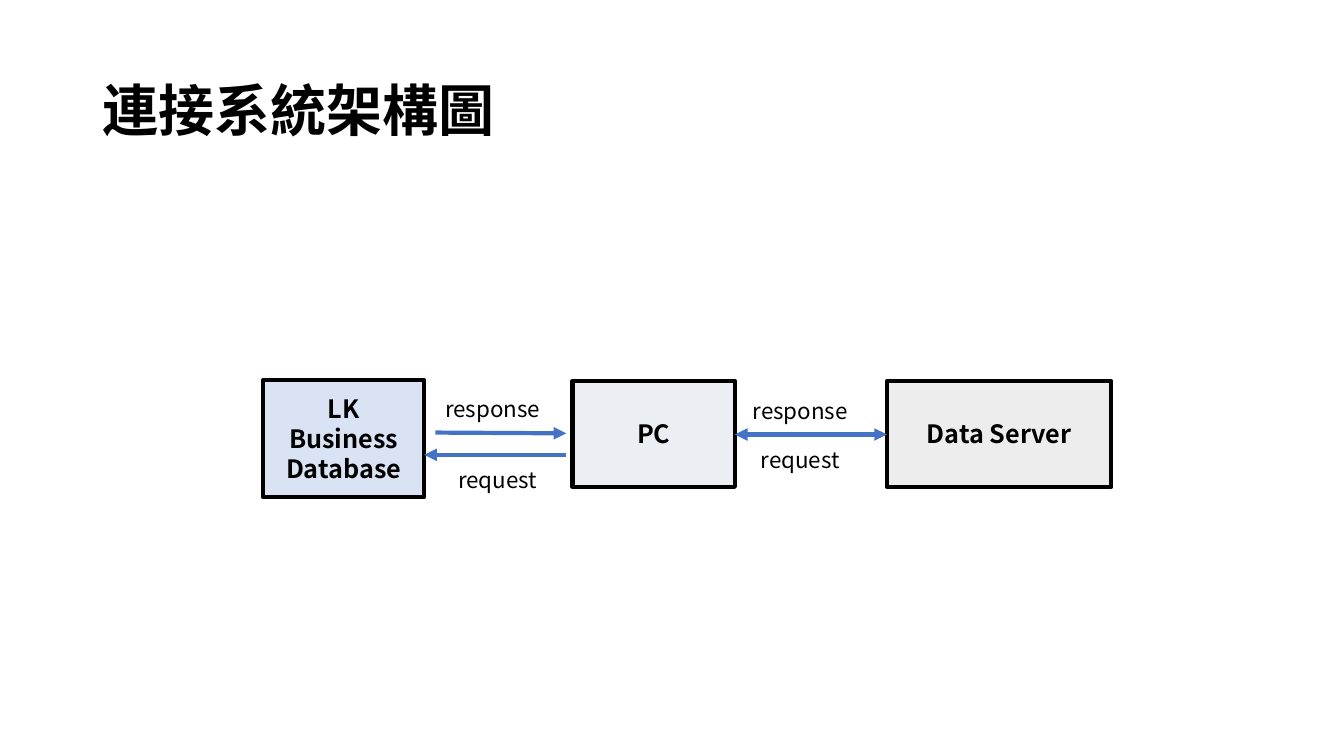
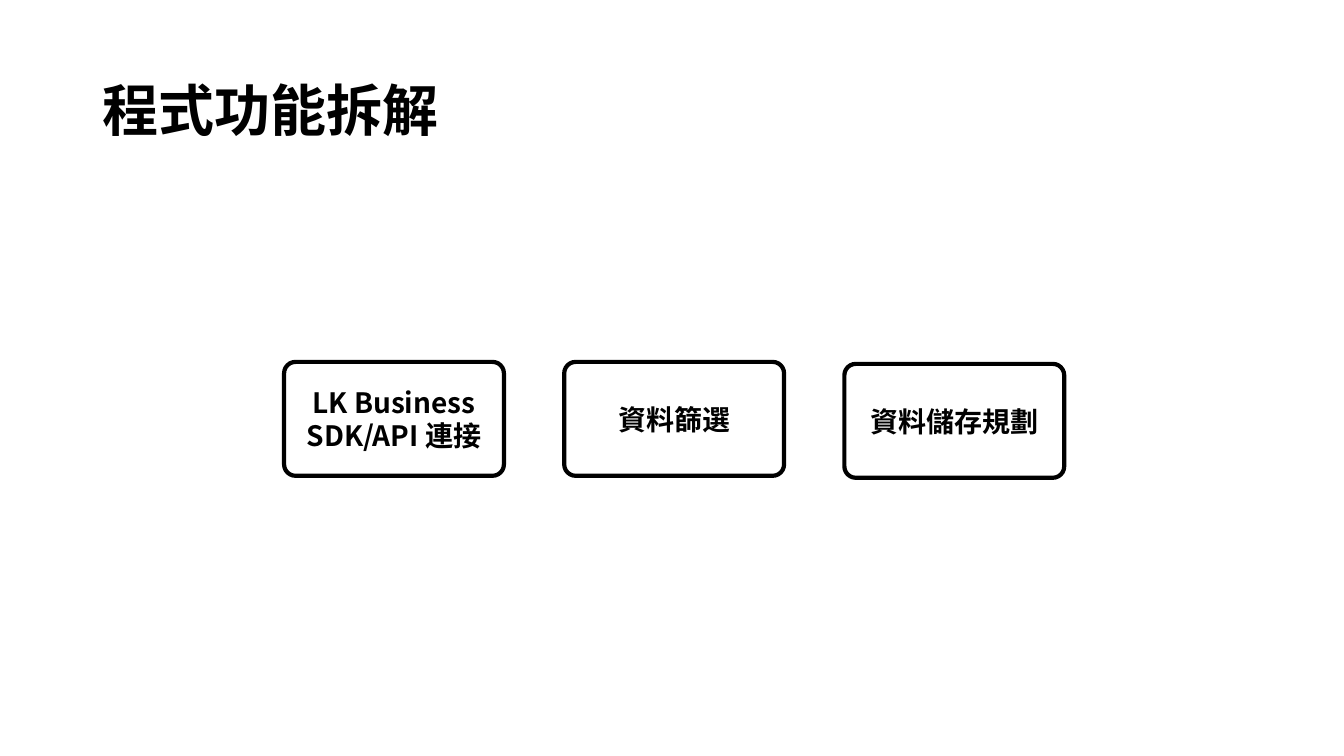
import pptx
import pptx.util
import pptx.dml.color
import pptx.enum.shapes
import pptx.enum.text
import pptx.oxml.ns
from lxml import etree

Cm, Pt = pptx.util.Cm, pptx.util.Pt
RGB = pptx.dml.color.RGBColor.from_string
SHAPE = pptx.enum.shapes.MSO_SHAPE
ALIGN = pptx.enum.text.PP_ALIGN
ANCHOR = pptx.enum.text.MSO_ANCHOR
qn = pptx.oxml.ns.qn

FONT = "Noto Sans CJK SC"
COLORS = {
    "ink": "000000",
    "white": "FFFFFF",
    "arrow": "4472C4",
    "source": "DAE3F3",
    "client": "EBEEF2",
    "server": "EDEDED",
}


def write(shape, text, size=16, bold=False, align=ALIGN.LEFT,
          anchor=ANCHOR.TOP, spacing=None):
    """Fill a shape with one paragraph, in the same font for Latin and Chinese."""
    tf = shape.text_frame
    tf.word_wrap = True
    tf.auto_size = pptx.enum.text.MSO_AUTO_SIZE.NONE
    tf.vertical_anchor = anchor
    p = tf.paragraphs[0]
    p.alignment = align
    p.line_spacing = spacing
    r = p.add_run()
    r.text = text
    r.font.size = Pt(size)
    r.font.bold = bold
    r.font.name = FONT
    r.font.color.rgb = RGB(COLORS["ink"])
    etree.SubElement(r.font._element, qn("a:ea"), typeface=FONT)


def add_box(s, kind, box, text, fill, size):
    """Add an outlined shape with centred bold text."""
    sp = s.shapes.add_shape(kind, *map(Cm, box))
    sp.shadow.inherit = False
    sp.fill.solid()
    sp.fill.fore_color.rgb = RGB(COLORS[fill])
    sp.line.color.rgb = RGB(COLORS["ink"])
    sp.line.width = Pt(3)
    write(sp, text, size=size, bold=True, align=ALIGN.CENTER, anchor=ANCHOR.MIDDLE)
    return sp


prs = pptx.Presentation()
prs.slide_width, prs.slide_height = Cm(33.87), Cm(19.05)

# Shared title position, inherited by every slide
layout = prs.slide_layouts.get_by_name("Title Only")
title = layout.placeholders[0]
title.left, title.top, title.width, title.height = map(Cm, (2.33, 1.01, 29.21, 3.68))

slides = []
for heading in ("連接系統架構圖", "程式功能拆解"):
    s = prs.slides.add_slide(layout)
    write(s.shapes.title, heading, size=40, bold=True, anchor=ANCHOR.MIDDLE, spacing=0.9)
    slides.append(s)
architecture, functions = slides

# Slide 1: three systems, joined by arrows
for box, text, fill in (
    ((6.63, 9.58, 4.06, 2.95), "LK Business Database", "source"),
    ((14.43, 9.6, 4.09, 2.67), "PC", "client"),
    ((22.35, 9.6, 5.66, 2.67), "Data Server", "server"),
):
    add_box(architecture, SHAPE.RECTANGLE, box, text, fill, 18)

for ends, heads in (
    ((14.27, 11.46, 10.69, 11.46), ("tailEnd",)),
    ((10.97, 10.9, 14.27, 10.92), ("tailEnd",)),
    ((18.52, 10.95, 22.35, 10.95), ("headEnd", "tailEnd")),
):
    arrow = architecture.shapes.add_connector(
        pptx.enum.shapes.MSO_CONNECTOR.STRAIGHT, *map(Cm, ends))
    arrow.line.color.rgb = RGB(COLORS["arrow"])
    arrow.line.width = Pt(3)
    for head in heads:
        etree.SubElement(arrow.line._get_or_add_ln(), qn("a:" + head), type="triangle")
    etree.SubElement(arrow._element.spPr, qn("a:effectLst"))

for left, top, width, text, align in (
    (10.97, 9.83, 3.15, "response", ALIGN.LEFT),
    (11.18, 11.61, 2.72, "request", ALIGN.CENTER),
    (18.72, 9.88, 3.15, "response", ALIGN.LEFT),
    (18.92, 11.13, 2.87, "request", ALIGN.LEFT),
):
    label = architecture.shapes.add_textbox(Cm(left), Cm(top), Cm(width), Cm(0.94))
    write(label, text, align=align)

# Slide 2: one rounded box per function, at an equal pitch
for i, (text, top) in enumerate((
    ("LK Business SDK/API 連接", 9.12),
    ("資料篩選", 9.12),
    ("資料儲存規劃", 9.17),
)):
    box = (7.16 + i * 7.06, top, 5.54, 2.87)
    sp = add_box(functions, SHAPE.ROUNDED_RECTANGLE, box, text, "white", 20)
    sp.adjustments[0] = 0.1

prs.save("out.pptx")
